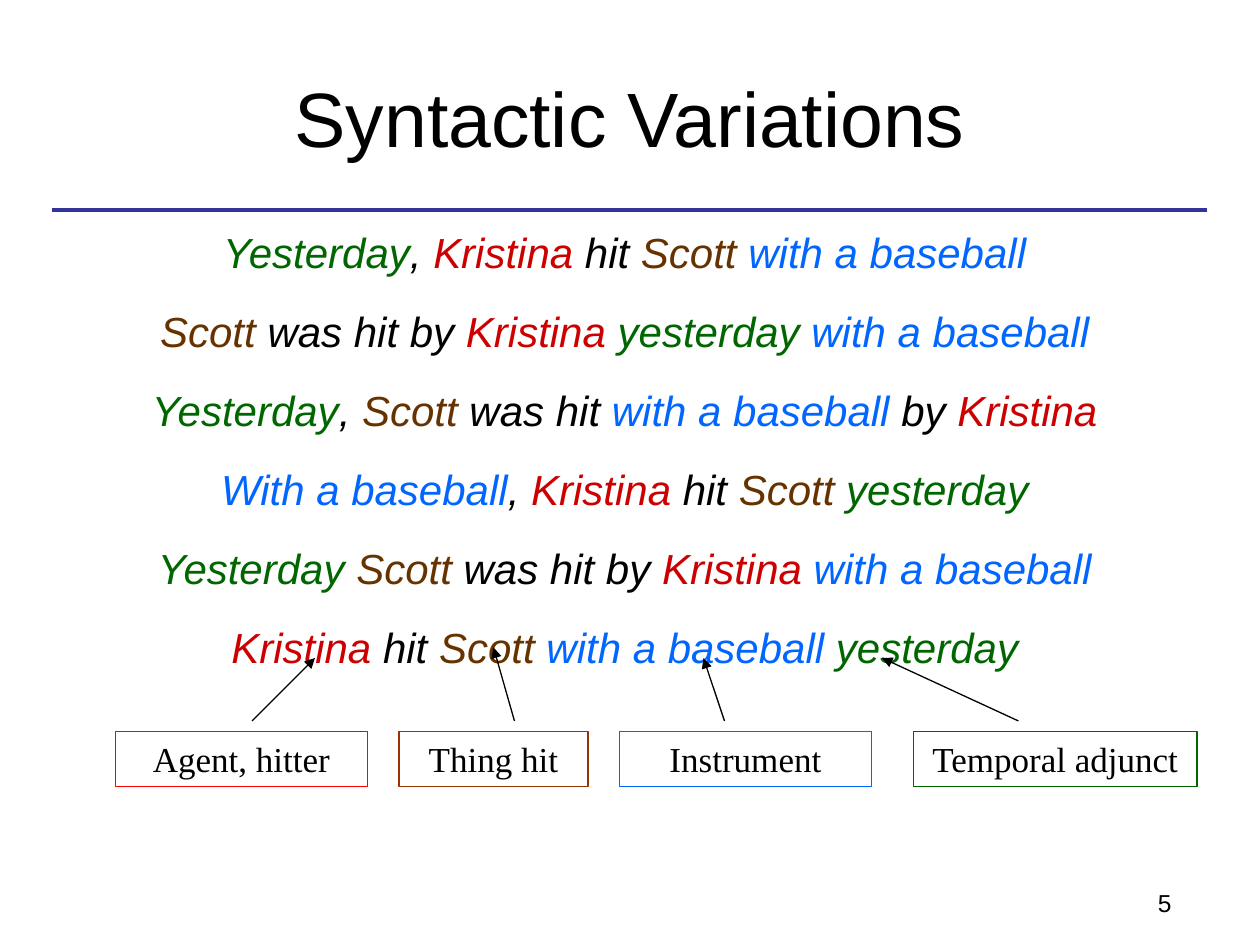
from dataclasses import dataclass

from lxml.etree import SubElement
from pptx import Presentation
from pptx.dml.color import RGBColor
from pptx.enum.shapes import MSO_CONNECTOR, MSO_SHAPE
from pptx.enum.text import MSO_ANCHOR, PP_ALIGN
from pptx.oxml.ns import qn
from pptx.util import Pt


@dataclass(frozen=True)
class Theme:
    sans: str = "Arial"
    serif: str = "Times New Roman"
    title_size: float = 44
    body_size: float = 24
    label_size: float = 20
    number_size: float = 14
    text: str = "000000"
    rule: str = "333399"
    agent: str = "CC0000"
    thing: str = "663300"
    instrument: str = "0066FF"
    time: str = "006600"
    agent_box: str = "FF0000"
    thing_box: str = "993300"


THEME = Theme()
TEXT, AGENT, THING = THEME.text, THEME.agent, THEME.thing
INSTRUMENT, TIME = THEME.instrument, THEME.time

SENTENCES = [
    [("Yesterday", TIME), (", ", TEXT), ("Kristina ", AGENT), ("hit ", TEXT),
     ("Scott ", THING), ("with a baseball", INSTRUMENT)],
    [("Scott ", THING), ("was hit by ", TEXT), ("Kristina ", AGENT),
     ("yesterday ", TIME), ("with a baseball", INSTRUMENT)],
    [("Yesterday", TIME), (", ", TEXT), ("Scott ", THING), ("was hit ", TEXT),
     ("with a baseball ", INSTRUMENT), ("by ", TEXT), ("Kristina", AGENT)],
    [("With a baseball", INSTRUMENT), (", ", TEXT), ("Kristina ", AGENT),
     ("hit ", TEXT), ("Scott ", THING), ("yesterday", TIME)],
    [("Yesterday ", TIME), ("Scott", THING), (" was hit by ", TEXT),
     ("Kristina ", AGENT), ("with a baseball", INSTRUMENT)],
    [("Kristina ", AGENT), ("hit ", TEXT), ("Scott ", THING),
     ("with a baseball ", INSTRUMENT), ("yesterday", TIME)],
]

# label, box colour, box left, box width, arrow start x, arrow tip
ROLES = [
    ("Agent, hitter", THEME.agent_box, 66, 144, 144, (180, 376)),
    ("Thing hit", THEME.thing_box, 228, 108, 294, (282, 370)),
    ("Instrument", INSTRUMENT, 354, 144, 414, (402, 376)),
    ("Temporal adjunct", TIME, 522, 162, 582, (504, 376)),
]
BOX_TOP, BOX_HEIGHT, ARROW_START_Y = 418, 31.5, 412


class SlideBuilder:
    """Adds styled elements to one slide; all lengths are points."""

    def __init__(self, slide, theme):
        self.slide = slide
        self.theme = theme

    def fill_text(self, tf, paragraphs, font, align=PP_ALIGN.CENTER, gap=0):
        """Fill a text frame from paragraphs, each a list of (text, colour)."""
        tf.word_wrap = True
        for i, runs in enumerate(paragraphs):
            p = tf.paragraphs[0] if i == 0 else tf.add_paragraph()
            p.alignment = align
            p.space_before = Pt(gap if i else 0)
            for text, color in runs:
                r = p.add_run()
                r.text = text
                for name, value in font.items():
                    setattr(r.font, name, value)
                r.font.color.rgb = RGBColor.from_string(color)

    def title(self, text, *box):
        sp = self.slide.shapes.title
        for name, value in zip(("left", "top", "width", "height"), box):
            setattr(sp, name, Pt(value))
        sp.text_frame.vertical_anchor = MSO_ANCHOR.MIDDLE
        font = {"name": self.theme.sans, "size": Pt(self.theme.title_size)}
        self.fill_text(sp.text_frame, [[(text, self.theme.text)]], font)

    def text(self, paragraphs, box, size, italic=False, **layout):
        sp = self.slide.shapes.add_textbox(*map(Pt, box))
        font = {"name": self.theme.sans, "size": Pt(size), "italic": italic}
        self.fill_text(sp.text_frame, paragraphs, font, **layout)

    def label_box(self, text, color, *box):
        sp = self.slide.shapes.add_shape(MSO_SHAPE.RECTANGLE, *map(Pt, box))
        sp.shadow.inherit = False
        sp.fill.background()
        sp.line.color.rgb = RGBColor.from_string(color)
        sp.line.width = Pt(0.75)
        sp.text_frame.vertical_anchor = MSO_ANCHOR.TOP
        font = {"name": self.theme.serif, "size": Pt(self.theme.label_size)}
        self.fill_text(sp.text_frame, [[(text, self.theme.text)]], font)

    def line(self, start, end, color, width, arrow=False):
        cxn = self.slide.shapes.add_connector(
            MSO_CONNECTOR.STRAIGHT, *map(Pt, (*start, *end)))
        cxn.line.color.rgb = RGBColor.from_string(color)
        cxn.line.width = Pt(width)
        sp_pr = cxn.element.spPr
        if arrow:
            SubElement(sp_pr.find(qn("a:ln")), qn("a:tailEnd"), type="triangle")
        SubElement(sp_pr, qn("a:effectLst"))


def main():
    prs = Presentation()
    prs.slide_width, prs.slide_height = Pt(720), Pt(540)
    s = SlideBuilder(prs.slides.add_slide(prs.slide_layouts[5]), THEME)

    s.line((30, 120), (690, 120), THEME.rule, 1.75)
    s.text([[("5", TEXT)]], (654.5, 504, 60, 24.5), THEME.number_size,
           align=PP_ALIGN.LEFT)
    s.title("Syntactic Variations", 36, 21.6, 648, 90)
    s.text(SENTENCES, (18, 126, 678, 255), THEME.body_size, italic=True, gap=16.3)

    for label, color, left, width, start_x, tip in ROLES:
        s.label_box(label, color, left, BOX_TOP, width, BOX_HEIGHT)
        s.line((start_x, ARROW_START_Y), tip, TEXT, 0.75, arrow=True)

    prs.save("out.pptx")


if __name__ == "__main__":
    main()
